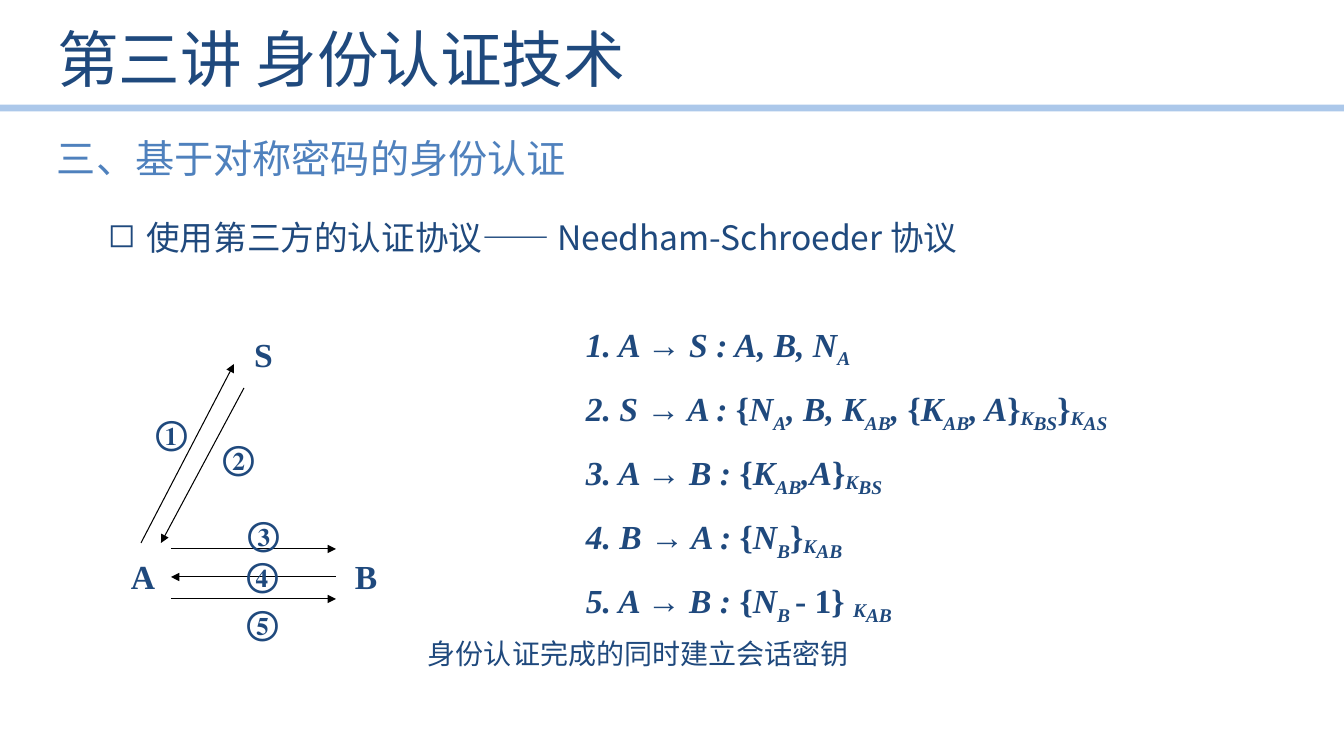
from lxml import etree
from pptx import Presentation
from pptx.dml.color import RGBColor
from pptx.enum.shapes import MSO_CONNECTOR
from pptx.enum.text import MSO_ANCHOR, PP_ALIGN
from pptx.oxml.ns import qn
from pptx.util import Pt

STRAIGHT = MSO_CONNECTOR.STRAIGHT
TOP, MIDDLE = MSO_ANCHOR.TOP, MSO_ANCHOR.MIDDLE
LEFT, CENTER, JUSTIFY = PP_ALIGN.LEFT, PP_ALIGN.CENTER, PP_ALIGN.JUSTIFY
PX = 914400 / 100.8

THEME = {
    "navy": RGBColor(0x1F, 0x49, 0x7D),
    "blue": RGBColor(0x4F, 0x81, 0xBD),
    "rule": RGBColor(0x8E, 0xB4, 0xE3),
    "black": RGBColor(0, 0, 0),
    "sans": "Noto Sans CJK SC",
    "serif": "Times New Roman",
    "title": 44,
    "heading": 28,
    "body": 24,
    "note": 20,
}
RUN_STYLES = {
    "plain": (False, 0),
    "italic": (True, 0),
    "key": (True, -10000),
    "sub": (True, -25000),
}

presentation = Presentation()
presentation.slide_width = round(1344 * PX)
presentation.slide_height = round(756 * PX)
slide = presentation.slides.add_slide(presentation.slide_layouts[5])


def write_text(text, box, shape=None, size="body", font="sans", color="navy", bold=False,
               align=LEFT, anchor=TOP, wrap=False, gap=0, hanging=None, bullet=None, spacing=None):
    left, top, width, height = (round(value * PX) for value in box)
    if shape is None:
        shape = slide.shapes.add_textbox(left, top, width, height)
    shape.left, shape.top, shape.width, shape.height = left, top, width, height
    frame = shape.text_frame
    frame.word_wrap = wrap
    frame.vertical_anchor = anchor
    paragraphs = [[("plain", text)]] if isinstance(text, str) else text
    for index, runs in enumerate(paragraphs):
        paragraph = frame.paragraphs[0] if index == 0 else frame.add_paragraph()
        paragraph.alignment = align
        paragraph.space_before = Pt(gap if index else 0)
        if spacing:
            paragraph.line_spacing = spacing
        properties = paragraph._p.get_or_add_pPr()
        if hanging:
            margin, indent = hanging
            properties.set("marL", str(round(margin * PX)))
            properties.set("indent", str(round(-indent * PX)))
        if bullet:
            etree.SubElement(properties, qn("a:buChar")).set("char", bullet)
        for style, words in runs:
            italic, baseline = RUN_STYLES[style]
            run = paragraph.add_run()
            run.text = words
            run.font.size = Pt(THEME[size])
            run.font.bold = bold
            run.font.italic = italic
            run.font.color.rgb = THEME[color]
            run.font.name = THEME[font]
            run_properties = run._r.get_or_add_rPr()
            etree.SubElement(run_properties, qn("a:ea")).set("typeface", THEME[font])
            if baseline:
                run_properties.set("baseline", str(baseline))


def draw_line(start, end, color="black", width=0.75, arrow=True, opacity=None):
    points = [round(value * PX) for value in (*start, *end)]
    line = slide.shapes.add_connector(STRAIGHT, *points)
    line.line.color.rgb = THEME[color]
    line.line.width = Pt(width)
    outline = line.line._ln
    if opacity:
        color_element = outline.find(".//" + qn("a:srgbClr"))
        etree.SubElement(color_element, qn("a:alpha")).set("val", str(opacity * 1000))
    if arrow:
        etree.SubElement(outline, qn("a:tailEnd")).set("type", "triangle")
    etree.SubElement(line._element.spPr, qn("a:effectLst"))


draw_line((0, 108), (1344, 108), color="rule", width=4.75, arrow=False, opacity=73)
write_text("第三讲 身份认证技术", (47, 9, 1111, 98), shape=slide.shapes.title,
           size="title", anchor=MIDDLE, wrap=True)
write_text("三、基于对称密码的身份认证", (47, 129, 535, 57), size="heading", color="blue")
write_text(" 使用第三方的认证协议—— Needham-Schroeder 协议", (47, 204, 1287, 445),
           align=JUSTIFY, wrap=True, hanging=(82, 31), bullet="◻", spacing=1.2)

for party, left, top in [("A", 121, 552), ("B", 345, 552), ("S", 243, 330)]:
    write_text(party, (left, top, 41, 48), font="serif", bold=True, align=CENTER, anchor=MIDDLE)

messages = [
    ("①", (141, 543), (234, 364), (146, 407)),
    ("②", (244, 388), (161, 543), (213, 432)),
    ("③", (171, 549), (336, 549), (238, 508)),
    ("④", (336, 577), (171, 577), (237, 549)),
    ("⑤", (171, 599), (336, 599), (237, 597)),
]
for number, start, end, corner in messages:
    draw_line(start, end)
    write_text(number, (*corner, 54, 50), font="serif", bold=True)

KEY_AB = [("key", "K"), ("sub", "AB")]
KEY_AS = [("key", "K"), ("sub", "AS")]
KEY_BS = [("key", "K"), ("sub", "BS")]
SESSION_KEY = [("italic", "K"), ("sub", "AB")]
NONCE_A = [("italic", "N"), ("sub", "A")]
NONCE_B = [("italic", "N"), ("sub", "B")]
OPEN, CLOSE = ("plain", "{"), ("plain", "}")

steps = [
    ("A", "S", [("italic", "A, B, "), *NONCE_A]),
    ("S", "A", [OPEN, *NONCE_A, ("italic", ", B, "), *SESSION_KEY, ("italic", ", "),
                OPEN, *SESSION_KEY, ("italic", ", A"), CLOSE, *KEY_BS, CLOSE, *KEY_AS]),
    ("A", "B", [OPEN, *SESSION_KEY, ("italic", ",A"), CLOSE, *KEY_BS]),
    ("B", "A", [OPEN, *NONCE_B, CLOSE, *KEY_AB]),
    ("A", "B", [OPEN, *NONCE_B, ("sub", " "), ("plain", "- 1} "), *KEY_AB]),
]
protocol = [
    [("italic", f"{number}. {sender} "), ("plain", "→"), ("italic", f" {receiver} : "), *content]
    for number, (sender, receiver, content) in enumerate(steps, 1)
]
write_text(protocol, (576, 319, 580, 293), font="serif", bold=True, wrap=True,
           gap=13, hanging=(50, 50))
write_text("身份认证完成的同时建立会话密钥", (418, 632, 445, 44), size="note")

presentation.save("out.pptx")
